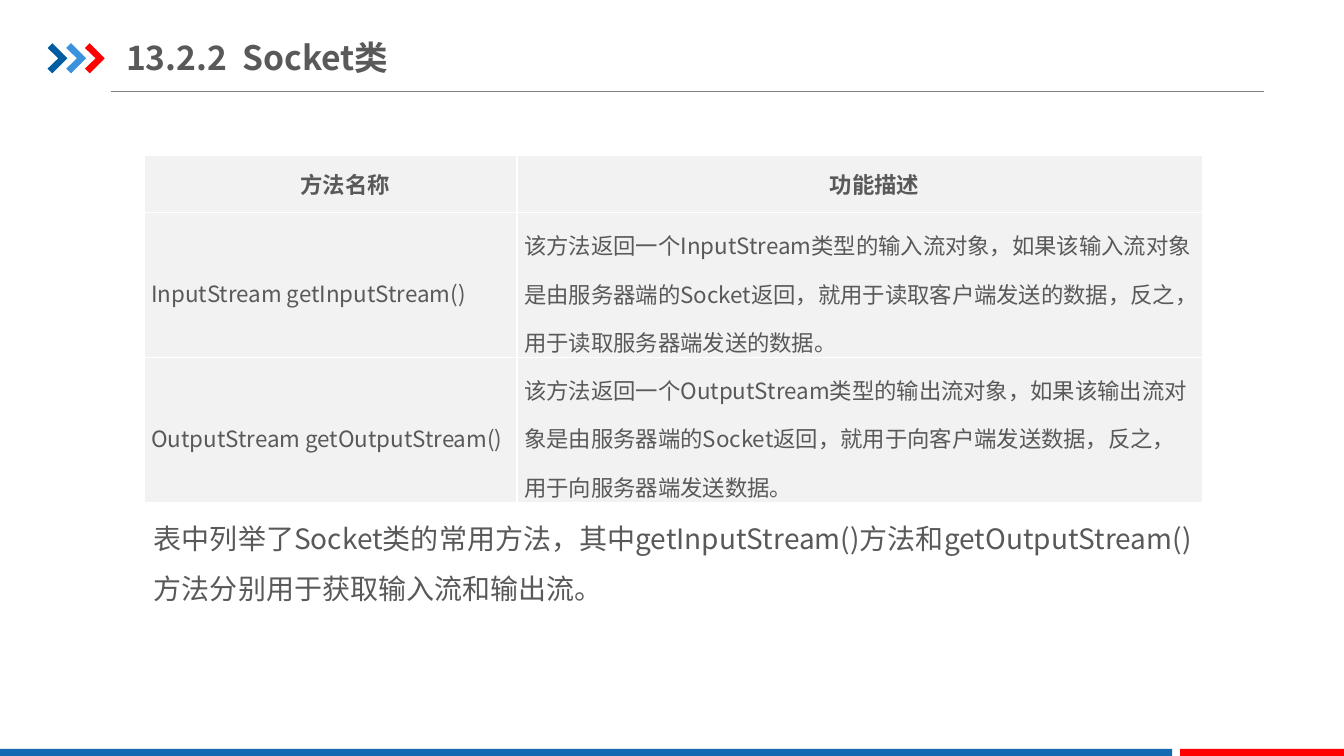
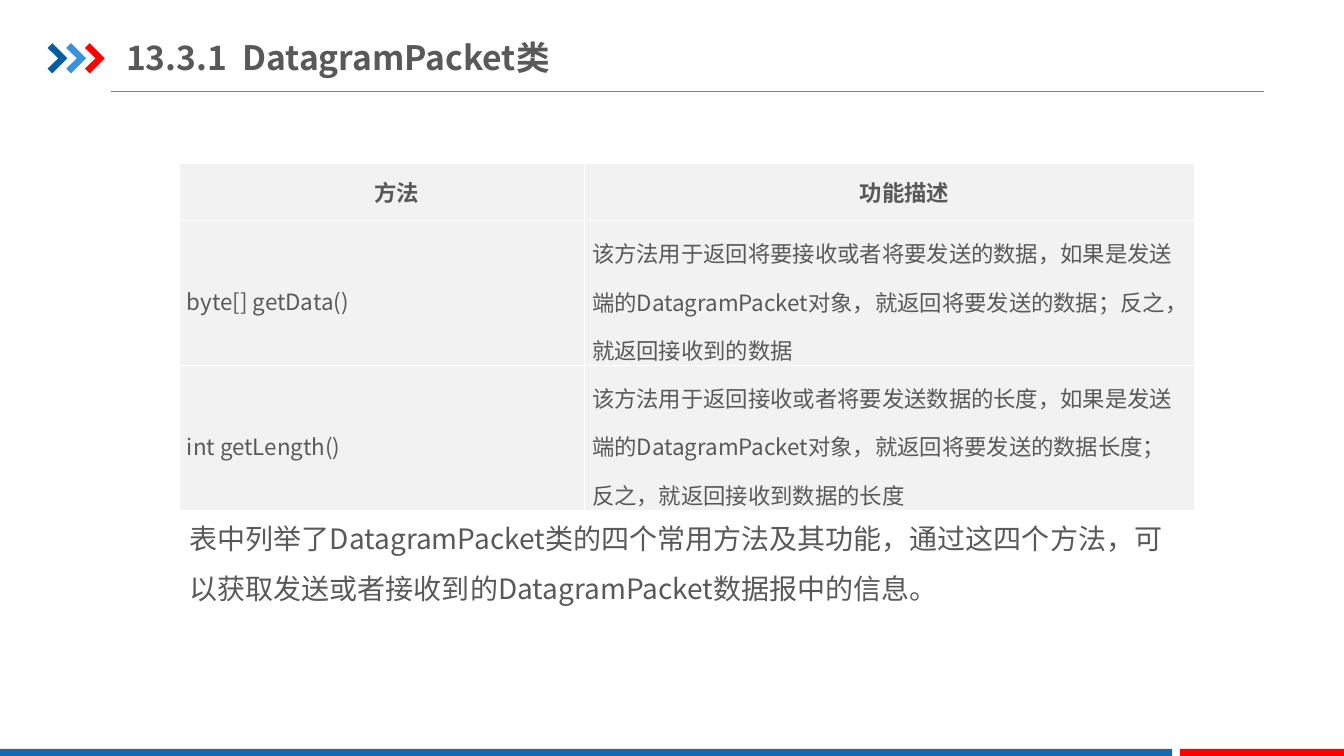
"""Build two slides that describe Java networking classes with method tables."""
from lxml import etree
from pptx import Presentation
from pptx.dml.color import RGBColor
from pptx.enum.shapes import MSO_CONNECTOR, MSO_SHAPE
from pptx.enum.text import MSO_ANCHOR, MSO_AUTO_SIZE, PP_ALIGN
from pptx.oxml.ns import qn
from pptx.util import Cm, Pt

RECT, STRAIGHT = MSO_SHAPE.RECTANGLE, MSO_CONNECTOR.STRAIGHT
MIDDLE, TOP = MSO_ANCHOR.MIDDLE, MSO_ANCHOR.TOP
FIT_SHAPE, CENTER = MSO_AUTO_SIZE.SHAPE_TO_FIT_TEXT, PP_ALIGN.CENTER

WIDTH, HEIGHT = 33.87, 19.05
FONT = "Noto Sans CJK SC"
TEXT, RULE, CELL, BORDER = "595959", "808080", "F2F2F2", "FFFFFF"
RED, BLUE = "FF0000", "1369B2"
CHEVRONS = ("005DA2", "3992DB", RED)
CHEVRON = ((0, 0.12), (0.12, 0), (0.5, 0.38), (0.12, 0.76), (0, 0.64), (0.27, 0.38))
BARS = ((0, 29.54, BLUE), (29.74, WIDTH - 29.74, RED))
ROW_HEIGHTS = (1.45, 3.65, 3.65)

TITLE_FONT = {"size": Pt(24), "bold": True}
HEAD_FONT = {"size": Pt(16), "bold": True}
CELL_FONT = {"size": Pt(16), "bold": False}
NOTE_FONT = {"size": Pt(20)}
TITLE_FRAME = {"margin_left": 0, "margin_right": 0, "margin_top": Cm(0.18),
               "margin_bottom": Cm(0.18), "vertical_anchor": MIDDLE}
NOTE_FRAME = {"auto_size": FIT_SHAPE}
CELL_FRAME = {"margin_left": Cm(0.18), "margin_right": Cm(0.18),
              "margin_top": 0, "margin_bottom": 0}
HEAD_PARA = {"alignment": CENTER}
BODY_PARA = {"line_spacing": 1.5}

SLIDES = (
    {"title": "13.2.2  Socket类", "left": 3.63, "top": 3.91, "cols": (9.4, 17.27),
     "rows": (
         ("方法名称", "功能描述"),
         ("InputStream getInputStream()",
          "该方法返回一个InputStream类型的输入流对象，如果该输入流对象是由服务器端的Socket返回，"
          "就用于读取客户端发送的数据，反之，用于读取服务器端发送的数据。"),
         ("OutputStream getOutputStream()",
          "该方法返回一个OutputStream类型的输出流对象，如果该输出流对象是由服务器端的Socket返回，"
          "就用于向客户端发送数据，反之，用于向服务器端发送数据。")),
     "note": "表中列举了Socket类的常用方法，其中getInputStream()方法和"
             "getOutputStream()方法分别用于获取输入流和输出流。"},
    {"title": "13.3.1  DatagramPacket类", "left": 4.53, "top": 4.11, "cols": (10.21, 15.37),
     "rows": (
         ("方法", "功能描述"),
         ("byte[] getData()",
          "该方法用于返回将要接收或者将要发送的数据，如果是发送端的DatagramPacket对象，"
          "就返回将要发送的数据；反之，就返回接收到的数据"),
         ("int getLength()",
          "该方法用于返回接收或者将要发送数据的长度，如果是发送端的DatagramPacket对象，"
          "就返回将要发送的数据长度；反之，就返回接收到数据的长度")),
     "note": "表中列举了DatagramPacket类的四个常用方法及其功能，通过这四个方法，"
             "可以获取发送或者接收到的DatagramPacket数据报中的信息。"},
)


def rgb(value):
    """Turn a hex string into a colour."""
    return RGBColor.from_string(value)


def apply(obj, values):
    """Set each attribute of a dict on an object."""
    for name, value in values.items():
        setattr(obj, name, value)


def paint(sp, color):
    """Fill a shape flat, without outline or shadow."""
    sp.fill.solid()
    sp.fill.fore_color.rgb = rgb(color)
    sp.line.fill.background()
    sp.shadow.inherit = False


def write(tf, text, font, para):
    """Write one formatted paragraph into a text frame."""
    p = tf.paragraphs[0]
    apply(p, para)
    r = p.add_run()
    r.text = text
    apply(r.font, {"name": FONT, **font})
    r.font.color.rgb = rgb(TEXT)
    etree.SubElement(r.font._element, qn("a:ea"), typeface=FONT)
    return p


def add_text(s, box, text, font, frame, para):
    """Add a wrapping text box."""
    tf = s.shapes.add_textbox(*map(Cm, box)).text_frame
    apply(tf, {"word_wrap": True, **frame})
    write(tf, text, font, para)


def add_chevrons(s):
    """Draw the group of three chevrons beside the title."""
    group = s.shapes.add_group_shape()
    for i, color in enumerate(CHEVRONS):
        points = [(Cm(1.2 + 0.47 * i + x), Cm(1.09 + y)) for x, y in CHEVRON]
        outline = group.shapes.build_freeform(*points[0])
        outline.add_line_segments(points[1:])
        paint(outline.convert_to_shape(), color)


def add_frame(s, title):
    """Draw the title, rule, chevrons and footer bars."""
    rule = s.shapes.add_connector(STRAIGHT, Cm(2.79), Cm(2.31), Cm(31.86), Cm(2.31))
    rule.line.color.rgb = rgb(RULE)
    rule.line.width = Pt(0.75)
    etree.SubElement(rule._element.spPr, qn("a:effectLst"))
    add_chevrons(s)
    for left, width, color in BARS:
        bar = s.shapes.add_shape(RECT, Cm(left), Cm(18.87), Cm(width), Cm(HEIGHT - 18.87))
        paint(bar, color)
    add_text(s, (3.18, 0.74, 14.5, 1.4), title, TITLE_FONT, TITLE_FRAME, {})


def add_borders(cell):
    """Give a cell thin borders on all sides."""
    tc_pr = cell._tc.get_or_add_tcPr()
    for side in "LRTB":
        ln = etree.SubElement(tc_pr, qn(f"a:ln{side}"), w=str(Pt(1)))
        fill = etree.SubElement(ln, qn("a:solidFill"))
        etree.SubElement(fill, qn("a:srgbClr"), val=BORDER)


def add_method_table(s, left, top, cols, rows):
    """Add a table of methods under a centred header row."""
    box = map(Cm, (left, top, sum(cols), sum(ROW_HEIGHTS)))
    table = s.shapes.add_table(len(rows), len(cols), *box).table
    table.horz_banding = False
    for column, width in zip(table.columns, cols):
        column.width = Cm(width)
    for i, (texts, height) in enumerate(zip(rows, ROW_HEIGHTS)):
        table.rows[i].height = Cm(height)
        for j, text in enumerate(texts):
            cell = table.cell(i, j)
            add_borders(cell)
            cell.fill.solid()
            cell.fill.fore_color.rgb = rgb(CELL)
            apply(cell, CELL_FRAME)
            cell.vertical_anchor = TOP if i and j else MIDDLE
            if i:
                write(cell.text_frame, text, CELL_FONT, BODY_PARA)
            else:
                p = write(cell.text_frame, text, HEAD_FONT, HEAD_PARA)
                apply_indent(p, 0.74)


def apply_indent(p, indent):
    """Indent the first line of a paragraph."""
    p_pr = p._p.get_or_add_pPr()
    p_pr.set("marL", "0")
    p_pr.set("indent", str(Cm(indent)))


def main():
    """Build and save the presentation."""
    prs = Presentation()
    prs.slide_width, prs.slide_height = Cm(WIDTH), Cm(HEIGHT)
    for item in SLIDES:
        s = prs.slides.add_slide(prs.slide_layouts[6])
        add_frame(s, item["title"])
        left, cols = item["left"], item["cols"]
        add_method_table(s, left, item["top"], cols, item["rows"])
        add_text(s, (left, 12.59, sum(cols), 2.82), item["note"],
                 NOTE_FONT, NOTE_FRAME, BODY_PARA)
    prs.save("out.pptx")


if __name__ == "__main__":
    main()
